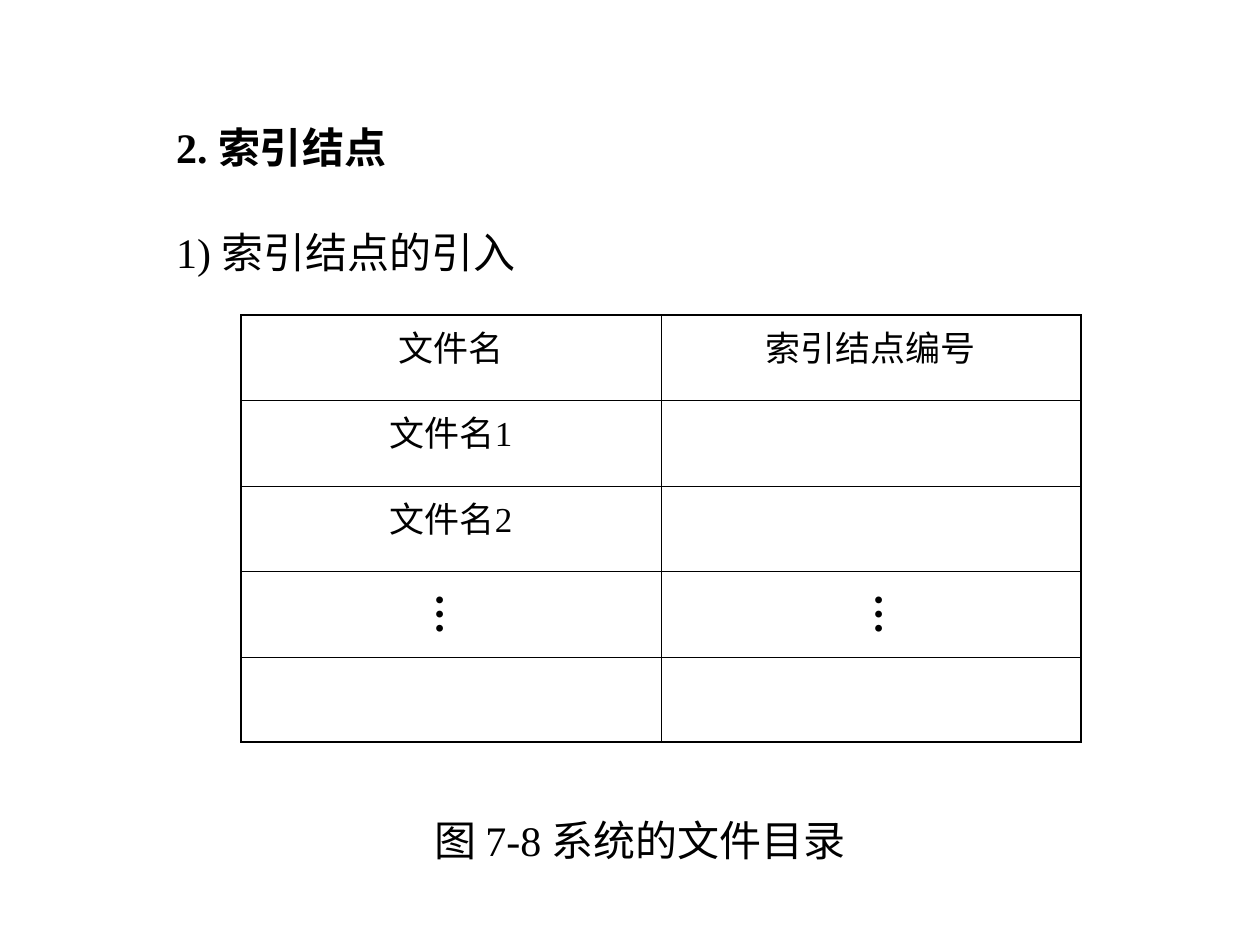
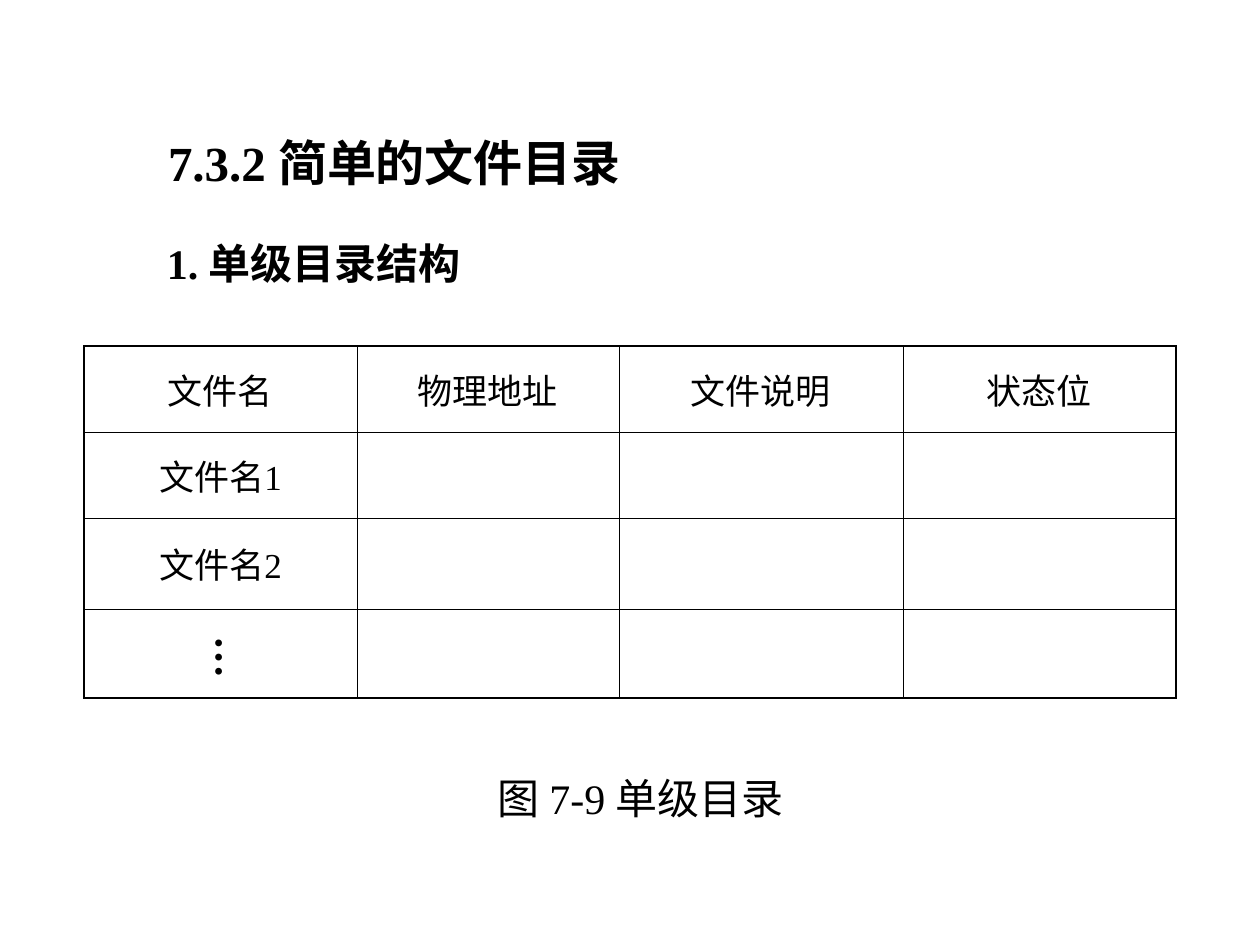
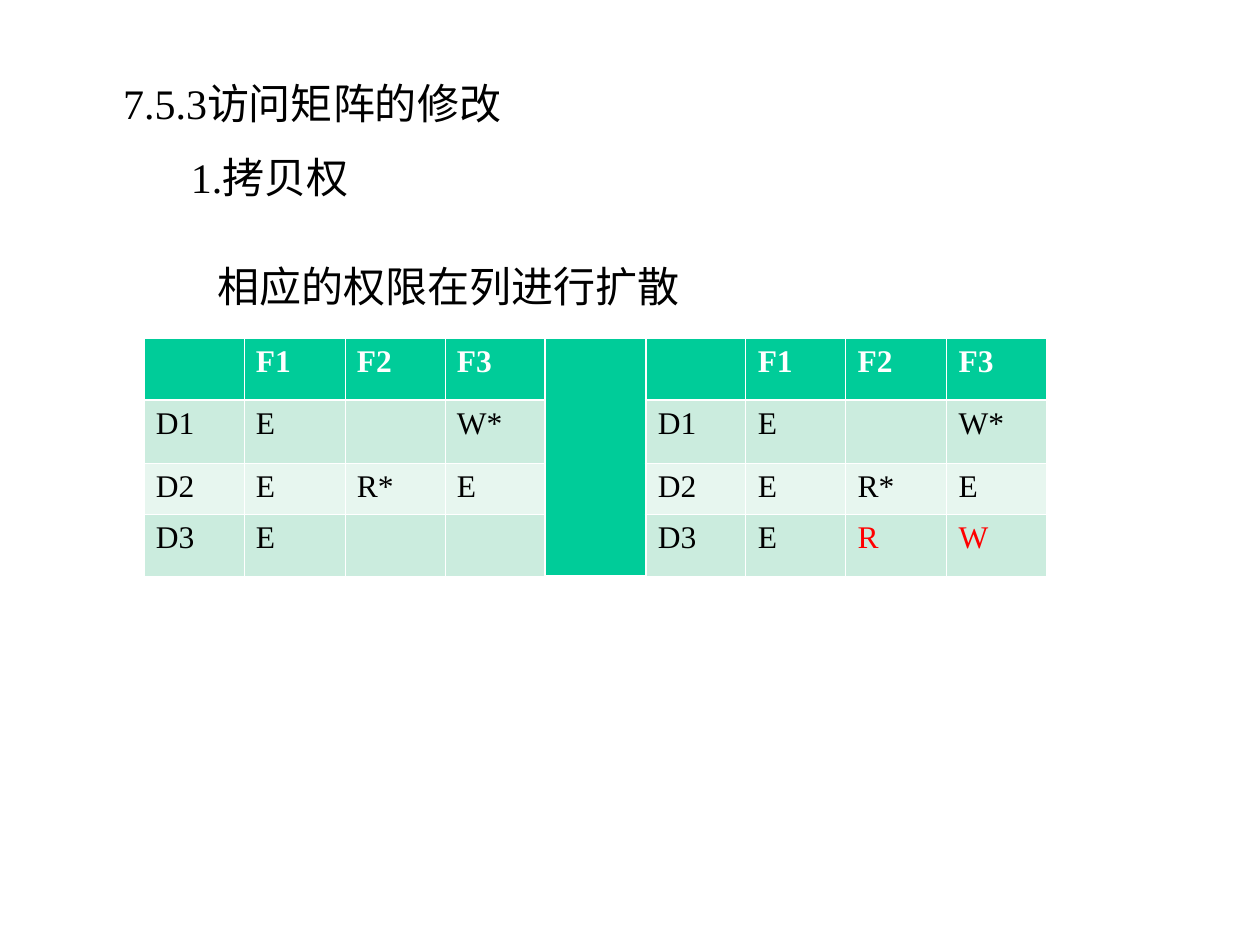
from lxml import etree
from pptx import Presentation
from pptx import util as u
from pptx.dml.color import RGBColor
from pptx.enum import text
from pptx.oxml import ns

FONT = "Times New Roman"
BLACK, WHITE, RED = "000000", "FFFFFF", "FF0000"
GREEN, MINT, PALE_MINT = "00CC99", "CBECDE", "E7F6EF"
PX_PER_INCH = 126
INSET_X, INSET_Y = 12, 6
TITLE_ONLY = 5


def px(length):
    return u.Emu(round(length * 914400 / PX_PER_INCH))


def hex_color(value):
    return RGBColor.from_string(value)


def split(total, count):
    """Whole-pixel sizes of equal parts that add up to the total."""
    edges = [round(total * index / count) for index in range(count + 1)]
    return [end - start for start, end in zip(edges, edges[1:])]


def add_span(para, words, size, bold=False, color=BLACK):
    span = para.add_run()
    span.text = words
    span.font.name = FONT
    span.font.size = u.Pt(size)
    span.font.bold = bold
    span.font.color.rgb = hex_color(color)


def fill_box(box, area, words, size=24, bold=False, insets=(INSET_X, INSET_Y)):
    """Place a box and give it one unwrapped line of text."""
    box.left, box.top, box.width, box.height = map(px, area)
    frame = box.text_frame
    frame.word_wrap = False
    frame.auto_size = text.MSO_AUTO_SIZE.NONE
    frame.vertical_anchor = text.MSO_ANCHOR.TOP
    frame.margin_left = frame.margin_right = px(insets[0])
    frame.margin_top = frame.margin_bottom = px(insets[1])
    para = frame.paragraphs[0]
    para.alignment = text.PP_ALIGN.LEFT
    add_span(para, words, size, bold)


def add_page(deck, area, title, **style):
    page = deck.slides.add_slide(deck.slide_layouts[TITLE_ONLY])
    fill_box(page.shapes.title, area, title, **style)
    return page


def add_line(page, area, words, **style):
    box = page.shapes.add_textbox(0, 0, 0, 0)
    fill_box(box, area, words, **style)
    return box


def add_vertical_dots(page, left, top):
    box = add_line(page, (left, top, 76, 55), "…", bold=True,
                   insets=(INSET_Y, INSET_X))
    box.text_frame._txBody.bodyPr.set("vert", "eaVert")


def set_borders(cell, color, widths):
    """Widths are in points, in the order left, right, top, bottom."""
    properties = cell._tc.get_or_add_tcPr()
    for side, width in zip("LRTB", widths):
        line = etree.SubElement(properties, ns.qn(f"a:ln{side}"), w=str(u.Pt(width)))
        fill = etree.SubElement(line, ns.qn("a:solidFill"))
        etree.SubElement(fill, ns.qn("a:srgbClr"), val=color)


def add_grid(page, left, top, columns, rows, color, thin, thick,
             thick_columns, thick_rows):
    """Add a ruled table; the thick sets number its grid lines from 0."""
    table = page.shapes.add_table(
        len(rows), len(columns), px(left), px(top),
        px(sum(columns)), px(sum(rows))).table
    table.first_row = table.horz_banding = False
    for column, width in zip(table.columns, columns):
        column.width = px(width)
    for row, height in zip(table.rows, rows):
        row.height = px(height)
    for r in range(len(rows)):
        for c in range(len(columns)):
            cell = table.cell(r, c)
            is_thick = (c in thick_columns, c + 1 in thick_columns,
                        r in thick_rows, r + 1 in thick_rows)
            set_borders(cell, color, [thick if edge else thin for edge in is_thick])
            cell.fill.background()
            cell.margin_left = cell.margin_right = px(INSET_X)
            cell.margin_top = cell.margin_bottom = px(INSET_Y)
    return table


def add_directory(page, left, top, columns, rows, headers, anchor):
    """Add a file directory table with thick outer borders."""
    table = add_grid(page, left, top, columns, rows, BLACK, 0.45, 1.08,
                     {0, len(columns)}, {0, len(rows)})
    labels = {(0, c): header for c, header in enumerate(headers)}
    labels |= {(r, 0): f"文件名{r}" for r in (1, 2)}
    for position, label in labels.items():
        cell = table.cell(*position)
        cell.vertical_anchor = anchor
        para = cell.text_frame.paragraphs[0]
        para.alignment = text.PP_ALIGN.CENTER
        add_span(para, label, 20)


def add_access_matrices(page, left, top, width, rows, before, after, copied):
    """Add the matrices before and after copying, with a merged column between."""
    gap = len(before[0])
    values = [old + [""] + new for old, new in zip(before, after)]
    table = add_grid(page, left, top, split(width, len(values[0])), rows,
                     WHITE, 0.45, 1.47, {gap, gap + 1}, {1})
    for r, row in enumerate(values):
        for c, value in enumerate(row):
            cell = table.cell(r, c)
            is_header = r == 0
            cell.fill.solid()
            cell.fill.fore_color.rgb = hex_color(
                GREEN if is_header or c == gap else MINT if r % 2 else PALE_MINT)
            if value:
                is_copied = (r, c - gap - 1) in copied
                color = WHITE if is_header else RED if is_copied else BLACK
                add_span(cell.text_frame.paragraphs[0], value, 18, is_header, color)
    table.cell(0, gap).merge(table.cell(len(rows) - 1, gap))


def add_index_node_page(deck):
    page = add_page(deck, (164, 116, 300, 63), "2. 索引结点", bold=True)
    add_line(page, (164, 221, 384, 63), "1) 索引结点的引入")
    add_line(page, (422, 809, 488, 63), "图 7-8 系统的文件目录")
    add_directory(page, 241, 315, [420, 420], split(427, 5),
                  ["文件名", "索引结点编号"], text.MSO_ANCHOR.TOP)
    for left in (409, 848):
        add_vertical_dots(page, left, 582)


def add_single_level_page(deck):
    page = add_page(deck, (156, 126, 560, 72), "7.3.2 简单的文件目录",
                    size=28, bold=True)
    add_line(page, (155, 232, 339, 63), "1. 单级目录结构", bold=True)
    add_directory(page, 84, 346, [273, 262, 284, 273], [86, 86, 91, 89],
                  ["文件名", "物理地址", "文件说明", "状态位"],
                  text.MSO_ANCHOR.MIDDLE)
    add_vertical_dots(page, 188, 624)
    add_line(page, (486, 767, 340, 63), "图 7-9 单级目录")


def add_copy_right_page(deck):
    page = add_page(deck, (111, 72, 480, 63), "7.5.3访问矩阵的修改")
    add_line(page, (179, 146, 193, 63), "1.拷贝权")
    add_line(page, (205, 255, 486, 63), "相应的权限在列进行扩散")
    before = [["", "F1", "F2", "F3"],
              ["D1", "E", "", "W*"],
              ["D2", "E", "R*", "E"],
              ["D3", "E", "", ""]]
    after = before[:3] + [["D3", "E", "R", "W"]]
    add_access_matrices(page, 144, 338, 903, [62, 63, 51, 62],
                        before, after, {(3, 2), (3, 3)})


def main():
    deck = Presentation()
    deck.slide_width, deck.slide_height = px(1260), px(945)
    add_index_node_page(deck)
    add_single_level_page(deck)
    add_copy_right_page(deck)
    deck.save("out.pptx")


if __name__ == "__main__":
    main()
